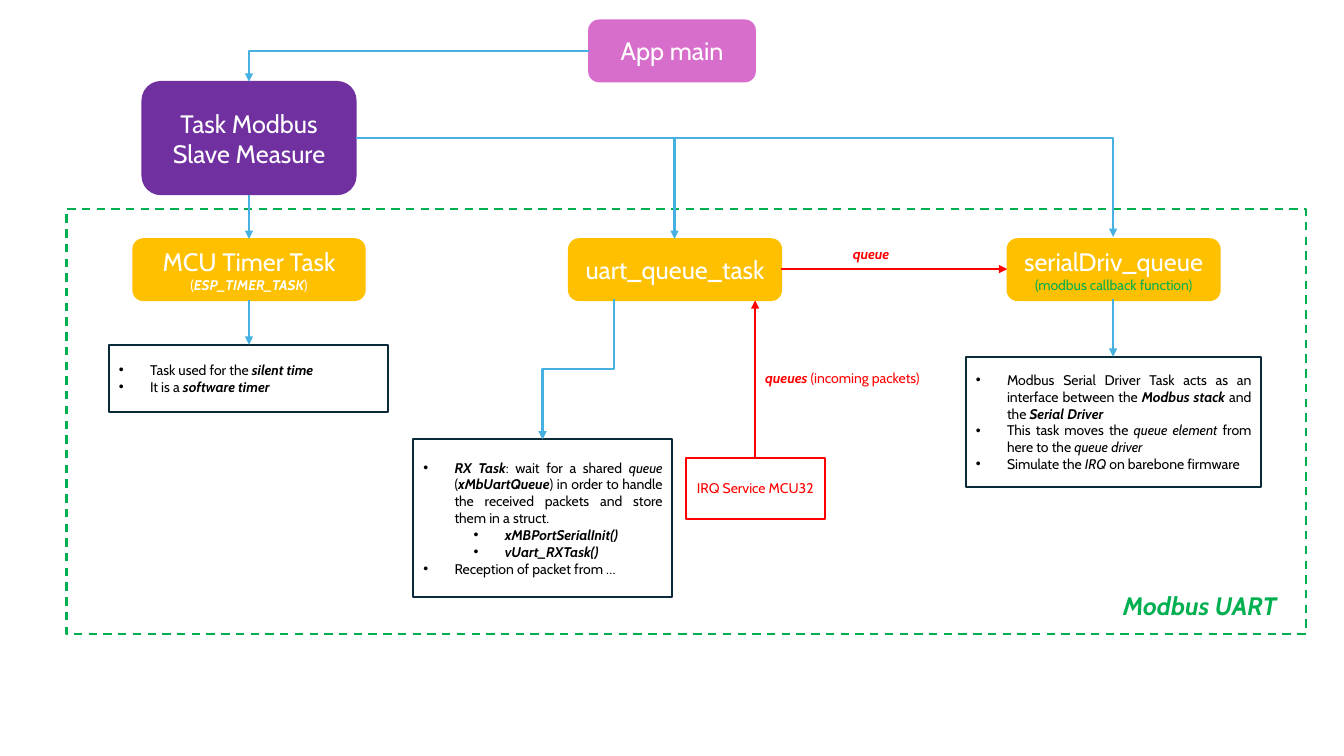
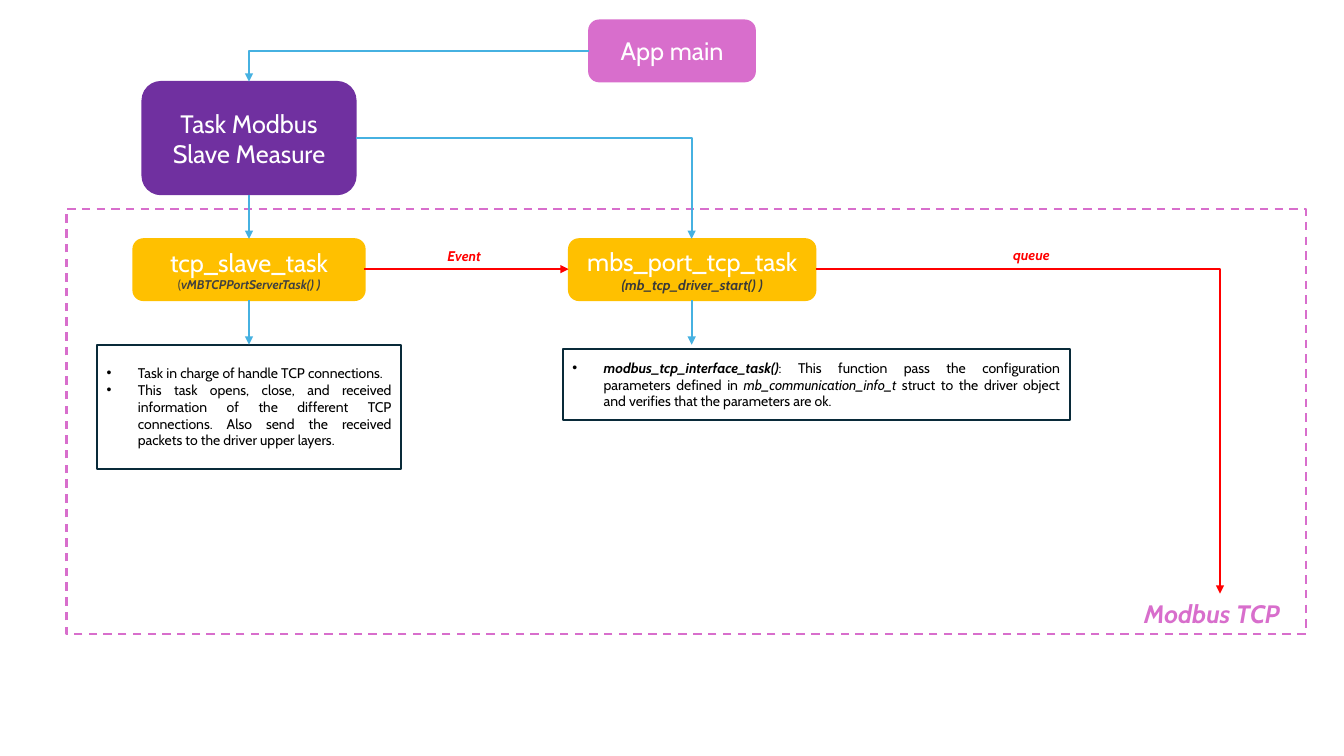
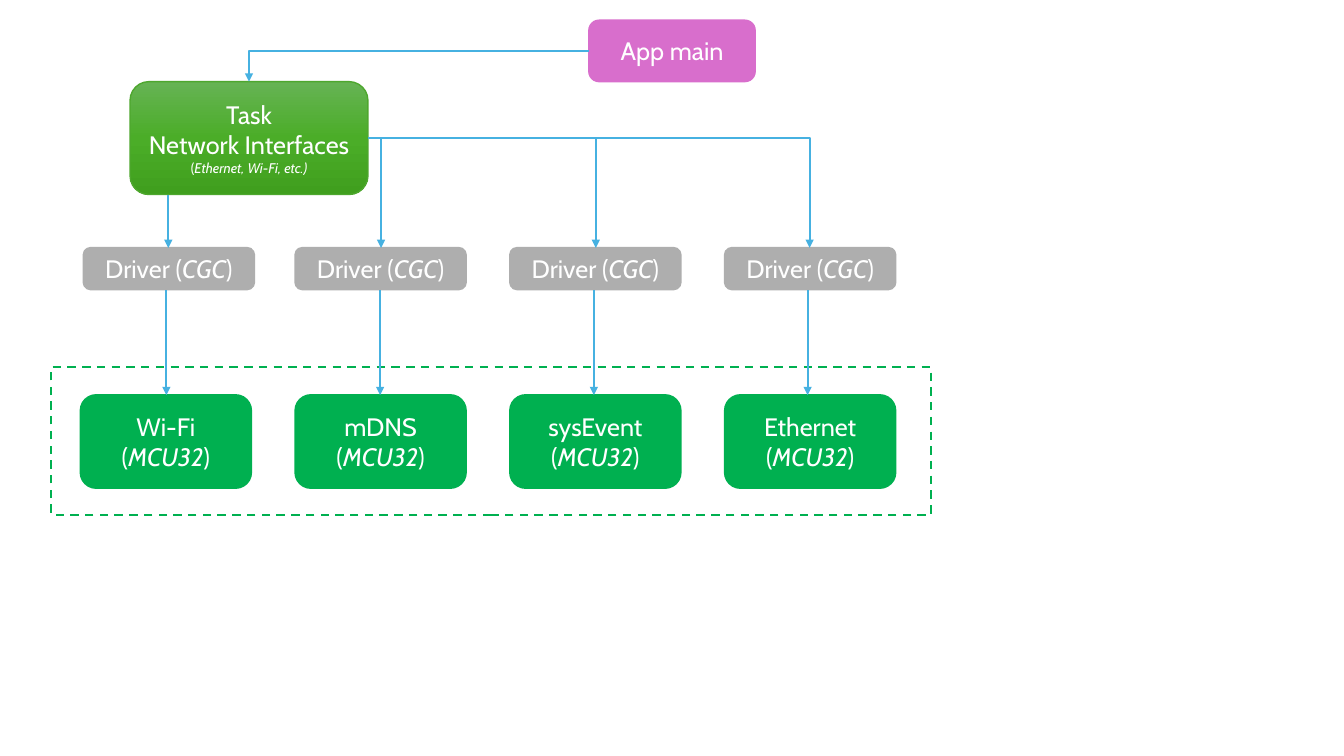
from copy import deepcopy

from lxml.etree import SubElement
from pptx import Presentation
from pptx.dml.color import RGBColor
from pptx.enum.dml import MSO_LINE
from pptx.enum.shapes import MSO_CONNECTOR, MSO_SHAPE
from pptx.enum.text import MSO_ANCHOR, MSO_AUTO_SIZE, PP_ALIGN
from pptx.oxml.ns import qn
from pptx.util import Pt

# Shared look: one px is a hundredth of an inch
PX = 9144
FONT = "Cabin"
WHITE, BLACK, RED, BLUE = "FFFFFF", "000000", "FF0000", "46B1E1"
PINK, PURPLE, AMBER, GREEN = "D86ECC", "7030A0", "FFC000", "00B050"
GREY, NAVY, LEAF = "AEAEAE", "092A39", "4EA72E"
NETWORK_GRADIENT = [(0, "66B354"), (0.5, "4BAD28"), (1, "409F1E")]
hex_color = RGBColor.from_string

# Paragraph styles: size, colour, alignment, left indent of a bullet
TEXT_STYLES = {
    "heading": (18, WHITE, PP_ALIGN.CENTER, None),
    "caption": (10, WHITE, PP_ALIGN.CENTER, None),
    "callback": (10, GREEN, PP_ALIGN.CENTER, None),
    "server": (9, "404040", PP_ALIGN.CENTER, None),
    "driver": (10, "3A3A3A", PP_ALIGN.CENTER, None),
    "service": (10, RED, PP_ALIGN.CENTER, None),
    "label": (10, RED, PP_ALIGN.LEFT, None),
    "uart title": (18, GREEN, PP_ALIGN.LEFT, None),
    "tcp title": (18, PINK, PP_ALIGN.LEFT, None),
    "bullet": (10, BLACK, PP_ALIGN.JUSTIFY, 31),
    "sub-bullet": (10, BLACK, PP_ALIGN.JUSTIFY, 81),
}

# Box styles: shape, fill, line colour, line width, dash
ROUNDED, RECTANGLE = MSO_SHAPE.ROUNDED_RECTANGLE, MSO_SHAPE.RECTANGLE
BOX_STYLES = {
    "app": (ROUNDED, PINK, PINK, 1, None),
    "modbus": (ROUNDED, PURPLE, PURPLE, 1, None),
    "network": (ROUNDED, NETWORK_GRADIENT, LEAF, 1, None),
    "task": (ROUNDED, AMBER, AMBER, 1, None),
    "driver": (ROUNDED, GREY, GREY, 1.5, None),
    "interface": (ROUNDED, GREEN, GREEN, 1.5, None),
    "notes": (RECTANGLE, None, NAVY, 1.5, None),
    "service": (RECTANGLE, None, RED, 1.5, None),
    "green frame": (RECTANGLE, None, GREEN, 1.5, MSO_LINE.DASH),
    "pink frame": (RECTANGLE, None, PINK, 1.5, MSO_LINE.DASH),
}


def write_text(shape, paragraphs):
    """Fill a shape; ^ toggles bold italic and * toggles italic."""
    frame = shape.text_frame
    frame.word_wrap = True
    for number, (style, text) in enumerate(paragraphs):
        size, color, alignment, indent = TEXT_STYLES[style]
        paragraph = frame.add_paragraph() if number else frame.paragraphs[0]
        paragraph.alignment = alignment
        if indent:
            paragraph.level = int(style == "sub-bullet")
            properties = paragraph._p.get_or_add_pPr()
            properties.set("marL", str(indent * PX))
            properties.set("indent", str(-31 * PX))
            SubElement(properties, qn("a:buFont")).set("typeface", "Arial")
            SubElement(properties, qn("a:buChar")).set("char", "•")
        for strong, part in enumerate(text.split("^")):
            for slanted, piece in enumerate(part.split("*")):
                if not piece:
                    continue
                run = paragraph.add_run()
                run.text = piece
                run.font.color.rgb = hex_color(color)
                formats = {
                    "name": FONT,
                    "size": Pt(size),
                    "bold": strong % 2 == 1,
                    "italic": strong % 2 == 1 or slanted % 2 == 1,
                }
                for name, value in formats.items():
                    setattr(run.font, name, value)


def draw_arrow(slide, color, start, end, bend="straight"):
    """Draw a straight arrow, one corner (across, down) or a step (down, across, down)."""
    (x1, y1), (x2, y2) = [(x * PX, y * PX) for x, y in (start, end)]
    if bend == "step":
        # The preset runs across, so lay it flat around its centre and turn it
        center_x, center_y = (x1 + x2) // 2, (y1 + y2) // 2
        half_width, half_height = (y2 - y1) // 2, (x1 - x2) // 2
        x1, x2 = center_x - half_width, center_x + half_width
        y1, y2 = center_y - half_height, center_y + half_height
    kind = MSO_CONNECTOR.STRAIGHT if bend == "straight" else MSO_CONNECTOR.ELBOW
    connector = slide.shapes.add_connector(kind, x1, y1, x2, y2)
    connector.line.color.rgb = hex_color(color)
    connector.line.width = Pt(1.5)
    properties = connector._element.spPr
    if bend == "corner":
        properties.find(qn("a:prstGeom")).set("prst", "bentConnector2")
    if bend == "step":
        properties.find(qn("a:xfrm")).set("rot", "5400000")
    SubElement(properties.find(qn("a:ln")), qn("a:tailEnd")).set("type", "triangle")
    SubElement(properties, qn("a:effectLst"))


# Parts that several slides share
app_box = ("app", (584, 20, 165, 61), [("heading", "App main")])
app_arrow = (BLUE, (584, 51), (247, 81), "corner")
modbus_boxes = [
    app_box,
    ("modbus", (141, 81, 212, 112), [("heading", "Task Modbus Slave Measure")]),
]
modbus_arrows = [
    app_arrow,
    (BLUE, (247, 193), (247, 237)),
    (BLUE, (247, 298), (247, 342)),
]
modbus_area = (66, 207, 1229, 422)

# Slide 1: Modbus UART
uart_slide = {
    "boxes": modbus_boxes + [
        ("green frame", modbus_area, []),
        ("task", (132, 237, 230, 61), [
            ("heading", "MCU Timer Task"),
            ("caption", "(^ESP_TIMER_TASK^)"),
        ]),
        ("notes", (108, 342, 277, 67), [
            ("bullet", "Task used for the ^silent time^"),
            ("bullet", "It is a ^software timer^"),
        ]),
        ("task", (564, 237, 211, 61), [("heading", "uart_queue_task")]),
        ("notes", (410, 436, 257, 156), [
            ("bullet", "^RX Task^: wait for a shared *queue *(^xMbUartQueue^) in order to "
                       "handle the received packets and store them in a struct."),
            ("sub-bullet", "^xMBPortSerialInit()^"),
            ("sub-bullet", "^vUart_RXTask()^"),
            ("bullet", "Reception of packet from …"),
        ]),
        ("service", (680, 454, 138, 61), [("service", "IRQ Service MCU32")]),
        ("task", (999, 237, 211, 61), [
            ("heading", "serialDriv_queue"),
            ("callback", "(modbus callback function)"),
        ]),
        ("notes", (958, 354, 293, 129), [
            ("bullet", "Modbus Serial Driver Task acts as an interface between the "
                       "^Modbus stack^ and the ^Serial Driver^"),
            ("bullet", "This task moves the *queue element* from here to the *queue driver*"),
            ("bullet", "Simulate the *IRQ* on barebone firmware"),
        ]),
    ],
    "arrows": modbus_arrows + [
        (BLUE, (353, 137), (669, 237), "corner"),
        (BLUE, (669, 137), (1104, 235), "corner"),
        (BLUE, (609, 297), (538, 436), "step"),
        (BLUE, (1104, 297), (1104, 354)),
        (RED, (749, 454), (749, 298)),
        (RED, (775, 267), (999, 267)),
    ],
    "labels": [
        ((749, 362, 194, 27), [("label", "^queues ^(incoming packets)")]),
        ((836, 239, 60, 27), [("label", "^queue^")]),
        ((1104, 581, 180, 40), [("uart title", "^Modbus UART^")]),
    ],
}

# Slide 2: Modbus TCP
tcp_slide = {
    "boxes": modbus_boxes + [
        ("pink frame", modbus_area, []),
        ("task", (132, 237, 230, 61), [
            ("heading", "tcp_slave_task"),
            ("server", "(^vMBTCPPortServerTask() )^"),
        ]),
        ("notes", (96, 342, 302, 123), [
            ("bullet", "Task in charge of handle TCP connections."),
            ("bullet", "This task opens, close, and received information of the different TCP "
                       "connections. Also send the received packets to the driver upper layers."),
        ]),
        ("task", (564, 237, 245, 61), [
            ("heading", "mbs_port_tcp_task"),
            ("driver", "^(mb_tcp_driver_start() )^"),
        ]),
        ("notes", (558, 346, 503, 71), [
            ("bullet", "^modbus_tcp_interface_task()^: This function pass the configuration "
                       "parameters defined in *mb_communication_info_t *struct to the driver "
                       "object and verifies that the parameters are ok."),
        ]),
    ],
    "arrows": modbus_arrows + [
        (BLUE, (353, 137), (686, 237), "corner"),
        (BLUE, (686, 298), (686, 342)),
        (RED, (361, 267), (564, 267)),
        (RED, (809, 267), (1210, 589), "corner"),
    ],
    "labels": [
        ((434, 241, 56, 27), [("label", "^Event^")]),
        ((995, 240, 74, 27), [("label", "^queue^")]),
        ((1125, 589, 169, 40), [("tcp title", "^Modbus TCP^")]),
    ],
}

# Slide 3: network interfaces, four columns of driver and interface
network_slide = {
    "boxes": [
        app_box,
        ("network", (129, 81, 236, 112), [
            ("heading", "Task"),
            ("heading", "Network Interfaces"),
            ("caption", "(*Ethernet, Wi-Fi, etc.)*"),
        ]),
        ("green frame", (51, 364, 872, 147), []),
    ],
    "arrows": [
        app_arrow,
        (BLUE, (167, 193), (167, 246)),
        (BLUE, (365, 137), (378, 246), "corner"),
        (BLUE, (378, 137), (591, 246), "corner"),
        (BLUE, (591, 137), (803, 246), "corner"),
    ],
    "labels": [],
}
for column, interface in enumerate(["Wi-Fi", "mDNS", "sysEvent", "Ethernet"]):
    left = 80 + 213 * column
    driver_left = left if column else left + 3
    arrow_x = 165 + 212 * column
    network_slide["boxes"] += [
        ("driver", (driver_left, 246, 169, 41), [("heading", "Driver (*CGC*)")]),
        ("interface", (left, 392, 169, 92), [
            ("heading", interface),
            ("heading", "(*MCU32*)"),
        ]),
    ]
    network_slide["arrows"].append((BLUE, (arrow_x, 288), (arrow_x, 392)))

# Draw the slides
presentation = Presentation()
presentation.slide_width = 1333 * PX
presentation.slide_height = 750 * PX

for content in [uart_slide, tcp_slide, network_slide]:
    slide = presentation.slides.add_slide(presentation.slide_layouts[6])

    # Boxes and frames
    for style, position, paragraphs in content["boxes"]:
        preset, fill, line_color, line_width, dash = BOX_STYLES[style]
        shape = slide.shapes.add_shape(preset, *[length * PX for length in position])
        shape.shadow.inherit = False
        shape.line.color.rgb = hex_color(line_color)
        shape.line.width = Pt(line_width)
        if dash:
            shape.line.dash_style = dash
        if fill is None:
            shape.fill.background()
        elif isinstance(fill, str):
            shape.fill.solid()
            shape.fill.fore_color.rgb = hex_color(fill)
        else:
            shape.fill.gradient()
            shape.fill.gradient_angle = 270
            stop_list = shape._element.spPr.find(".//" + qn("a:gsLst"))
            stop_list.insert(1, deepcopy(stop_list[0]))
            for stop, (offset, color) in zip(shape.fill.gradient_stops, fill):
                stop.position = offset
                stop.color.rgb = hex_color(color)
        shape.text_frame.vertical_anchor = MSO_ANCHOR.MIDDLE
        write_text(shape, paragraphs)

    # Arrows
    for arrow in content["arrows"]:
        draw_arrow(slide, *arrow)

    # Labels
    for position, paragraphs in content["labels"]:
        label = slide.shapes.add_textbox(*[length * PX for length in position])
        write_text(label, paragraphs)
        label.text_frame.auto_size = MSO_AUTO_SIZE.SHAPE_TO_FIT_TEXT

presentation.save("out.pptx")
